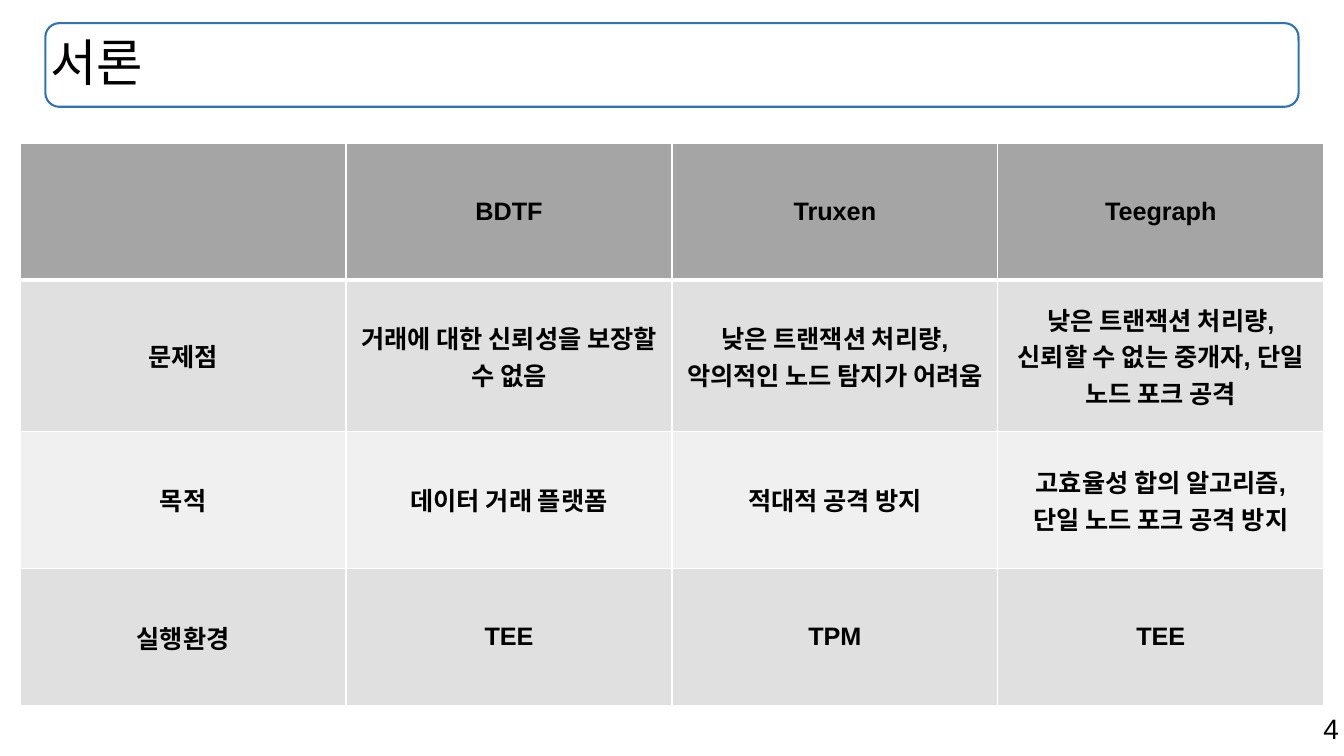
import dataclasses

import pptx
import pptx.dml.color
import pptx.enum.shapes
import pptx.enum.text
import pptx.oxml
import pptx.oxml.ns
import pptx.util

Inches = pptx.util.Inches
Pt = pptx.util.Pt
ALIGN = pptx.enum.text.PP_ALIGN
ANCHOR = pptx.enum.text.MSO_ANCHOR


@dataclasses.dataclass(frozen=True)
class Theme:
    latin: str = "Arial"
    korean: str = "Noto Sans CJK KR"
    text: str = "000000"
    frame: str = "2E75B6"
    rule: str = "FFFFFF"
    header: str = "A5A5A5"
    bands: tuple = ("E0E0E0", "F0F0F0")
    title_size: int = 36
    cell_size: int = 18
    page_size: int = 20


def rgb(value):
    return pptx.dml.color.RGBColor.from_string(value)


def apply(target, values):
    for attribute, value in values.items():
        setattr(target, attribute, value)


class SlideBuilder:
    def __init__(self, presentation, theme):
        self.theme = theme
        self.slide = presentation.slides.add_slide(presentation.slide_layouts[5])

    def style_text(self, frame, font, paragraph_format):
        """Format every paragraph and set the Korean typeface of its runs."""
        for paragraph in frame.paragraphs:
            apply(paragraph, paragraph_format)
            for run in paragraph.runs:
                apply(run.font, font)
                run.font.color.rgb = rgb(self.theme.text)
                east_asian = pptx.oxml.parse_xml(
                    f'<a:ea {pptx.oxml.ns.nsdecls("a")} typeface="{self.theme.korean}"/>')
                run.font._element.append(east_asian)

    def style_box(self, frame, **frame_format):
        sides = ("margin_left", "margin_top", "margin_right", "margin_bottom")
        apply(frame, dict.fromkeys(sides, Inches(0.05)) | frame_format)

    def frame(self, left, top, width, height):
        outline = self.slide.shapes.add_shape(
            pptx.enum.shapes.MSO_SHAPE.ROUNDED_RECTANGLE, left, top, width, height)
        outline.shadow.inherit = False
        outline.fill.background()
        outline.line.color.rgb = rgb(self.theme.frame)
        outline.line.width = Pt(1.5)

    def title(self, text, left, top, width, height):
        title = self.slide.shapes.title
        apply(title, dict(left=left, top=top, width=width, height=height))
        title.text_frame.text = text
        self.style_box(title.text_frame, vertical_anchor=ANCHOR.MIDDLE,
                       auto_size=pptx.enum.text.MSO_AUTO_SIZE.NONE)
        self.style_text(title.text_frame,
                        dict(name=self.theme.korean, size=Pt(self.theme.title_size)),
                        dict(alignment=ALIGN.LEFT, line_spacing=0.9))

    def page_number(self, text, left, top, width, height):
        number = self.slide.shapes.add_textbox(left, top, width, height).text_frame
        number.text = text
        self.style_box(number, word_wrap=False,
                       auto_size=pptx.enum.text.MSO_AUTO_SIZE.SHAPE_TO_FIT_TEXT)
        self.style_text(number, dict(name=self.theme.latin, size=Pt(self.theme.page_size)),
                        dict(alignment=ALIGN.RIGHT))

    def cell_borders(self, cell, widths):
        """Draw the borders; widths maps a side (L, R, T, B) to points."""
        properties = cell._tc.get_or_add_tcPr()
        for position, (side, width) in enumerate(widths.items()):
            properties.insert(position, pptx.oxml.parse_xml(
                f'<a:ln{side} {pptx.oxml.ns.nsdecls("a")} w="{Pt(width)}">'
                f'<a:solidFill><a:srgbClr val="{self.theme.rule}"/></a:solidFill>'
                f'</a:ln{side}>'))

    def table(self, rows, heights, left, top, width):
        table = self.slide.shapes.add_table(
            len(rows), len(rows[0]), left, top, width, Inches(sum(heights))).table
        for row, height in zip(table.rows, heights):
            row.height = Inches(height)
        for r, texts in enumerate(rows):
            fill = self.theme.bands[(r - 1) % 2] if r else self.theme.header
            for c, text in enumerate(texts):
                cell = table.cell(r, c)
                cell.text = text
                cell.vertical_anchor = ANCHOR.MIDDLE
                cell.fill.solid()
                cell.fill.fore_color.rgb = rgb(fill)
                self.cell_borders(cell, {"L": 1, "R": 1, "T": 3 if r == 1 else 1,
                                         "B": 1 if r else 3})
                typeface = self.theme.latin if c or not r else self.theme.korean
                self.style_text(cell.text_frame,
                                dict(name=typeface, size=Pt(self.theme.cell_size), bold=True),
                                dict(alignment=ALIGN.CENTER))


COMPARISON = [
    ["", "BDTF", "Truxen", "Teegraph"],
    ["문제점", "거래에 대한 신뢰성을 보장할 수 없음",
     "낮은 트랜잭션 처리량,악의적인 노드 탐지가 어려움",
     "낮은 트랜잭션 처리량,\n신뢰할 수 없는 중개자, 단일 노드 포크 공격"],
    ["목적", "데이터 거래 플랫폼", "적대적 공격 방지",
     "고효율성 합의 알고리즘,\n단일 노드 포크 공격 방지"],
    ["실행환경", "TEE", "TPM", "TEE"],
]


def main():
    presentation = pptx.Presentation()
    presentation.slide_width = Inches(13.33)
    presentation.slide_height = Inches(7.5)
    builder = SlideBuilder(presentation, Theme())
    heading_area = [Inches(value) for value in (0.45, 0.23, 12.43, 0.83)]
    builder.frame(*heading_area)
    builder.page_number("4", Inches(13.06), Inches(7.01), Inches(0.27), Inches(0.41))
    builder.title("서론", *heading_area)
    builder.table(COMPARISON, (1.36, 1.5, 1.36, 1.36),
                  Inches(0.2), Inches(1.42), Inches(12.93))
    presentation.save("out.pptx")


if __name__ == "__main__":
    main()
